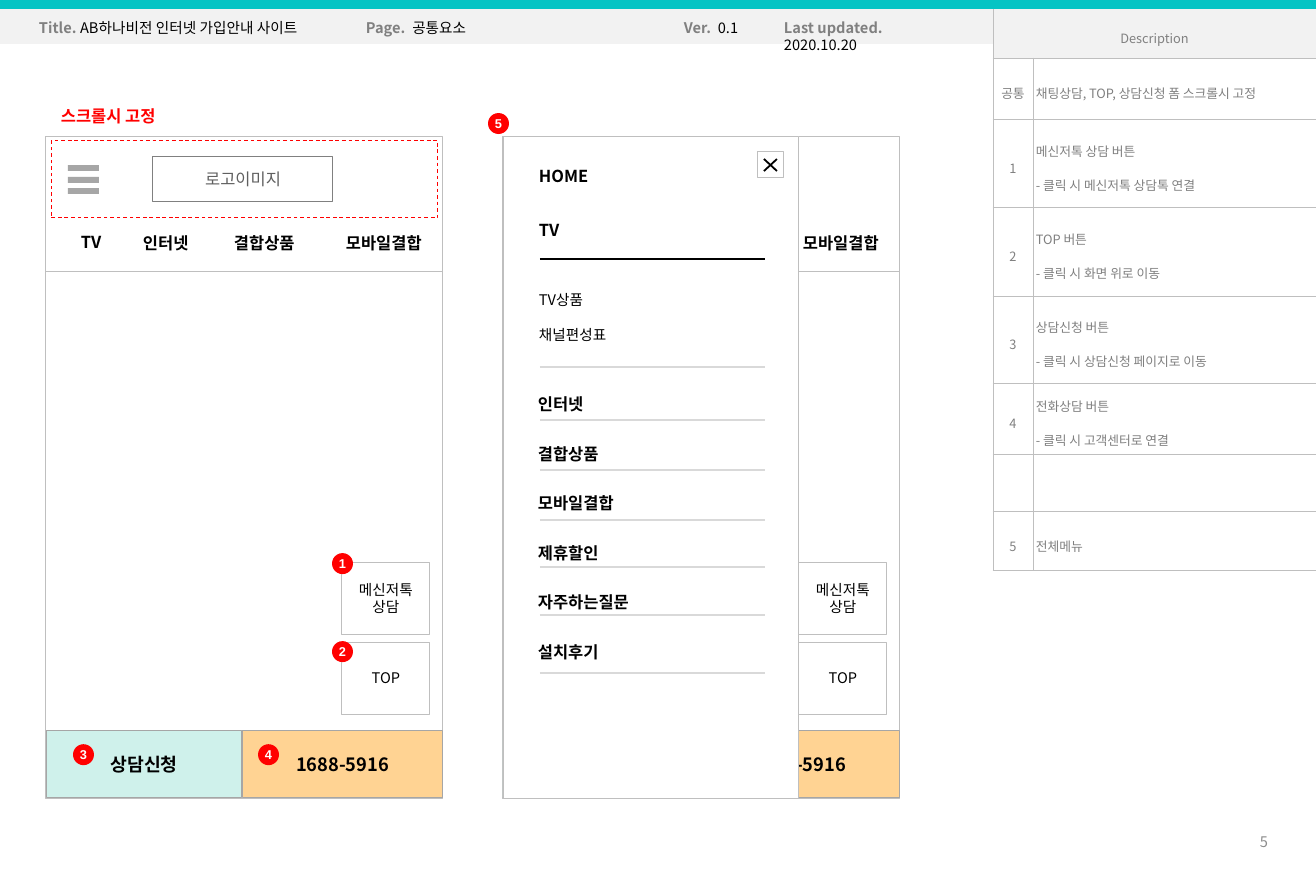
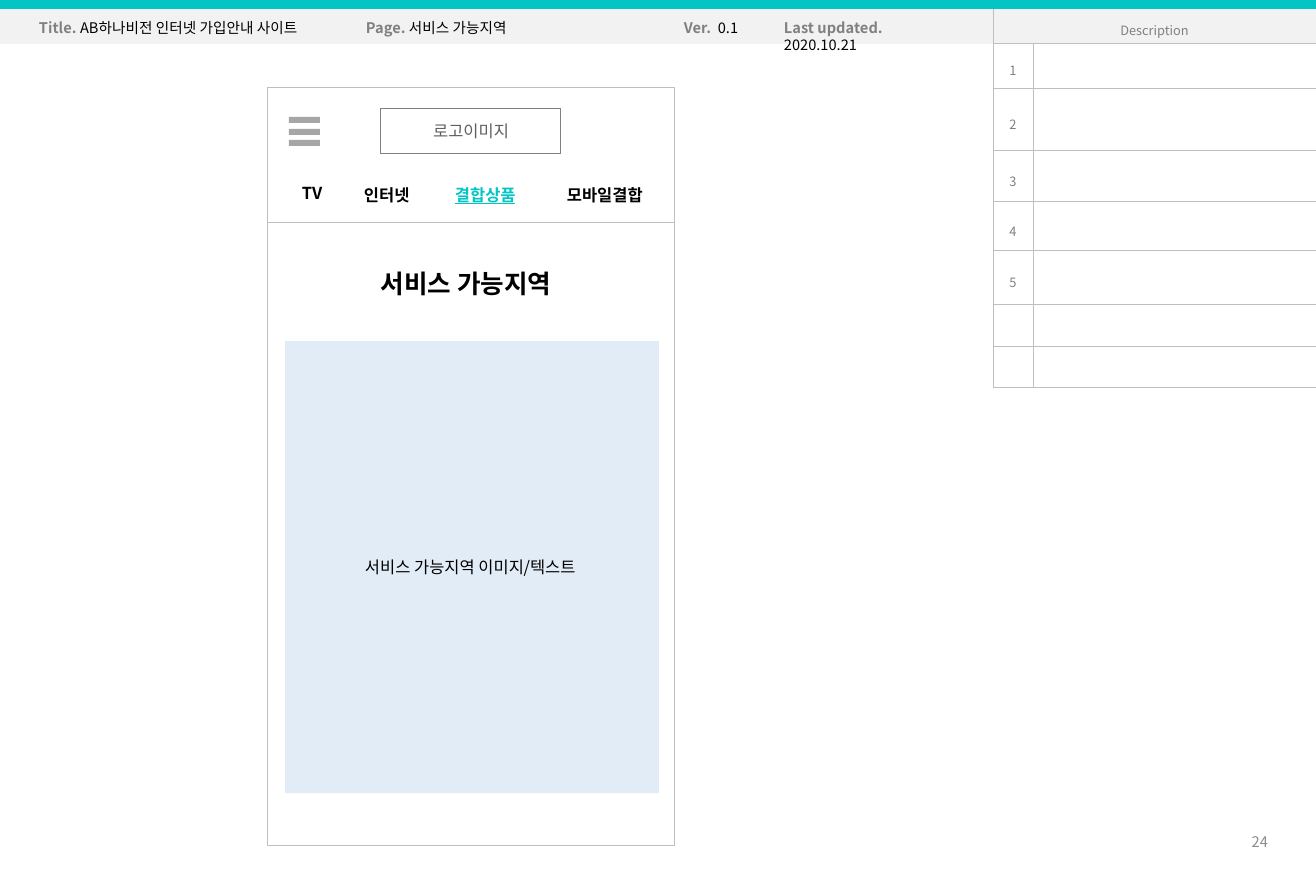
from lxml import etree
from pptx import Presentation
from pptx.dml.color import RGBColor
from pptx.enum.dml import MSO_LINE
from pptx.enum.shapes import MSO_CONNECTOR, MSO_SHAPE
from pptx.enum.text import MSO_ANCHOR, MSO_AUTO_SIZE, PP_ALIGN
from pptx.oxml.ns import qn
from pptx.util import Cm, Pt

EMU_PER_PX = 914400 / 131.6
FONT = "Noto Sans CJK KR"
color = RGBColor.from_string
BLACK, WHITE, RED, TEAL = "000000", "FFFFFF", "FF0000", "05C4C4"
GRAY, BORDER, BAND, BUTTON_EDGE = "808080", "BFBFBF", "F2F2F2", "A6A6A6"
RECT, OVAL, TEXT = MSO_SHAPE.RECTANGLE, MSO_SHAPE.OVAL, None
TABS = [("TV", 0, 89, 47), ("인터넷", 62, 90, 76),
        ("결합상품", 153, 90, 93), ("모바일결합", 265, 90, 109)]


def write(frame, lines, size=8, ink=BLACK, bold=False, align=PP_ALIGN.LEFT,
          spacing=None, before=None, font=FONT):
    for index, line in enumerate(lines):
        paragraph = frame.paragraphs[0] if index == 0 else frame.add_paragraph()
        paragraph.alignment = align
        paragraph.line_spacing = spacing
        paragraph.space_before = before
        # A line is one string, or a list of (text, ink, bold) runs
        runs = [(line, ink, bold)] if isinstance(line, str) else line
        for text, run_ink, run_bold in runs:
            run = paragraph.add_run()
            run.text = text
            run.font.size = Pt(size)
            run.font.bold = run_bold
            run.font.color.rgb = color(run_ink)
            run.font.name = font
            etree.SubElement(run._r.get_or_add_rPr(), qn("a:ea"), typeface=font)


def add_box(slide, kind, bounds, lines=(), fill=None, line=None, **style):
    bounds = [round(px * EMU_PER_PX) for px in bounds]
    if kind is TEXT:
        shape = slide.shapes.add_textbox(*bounds)
        shape.text_frame.word_wrap = False
        shape.text_frame.auto_size = MSO_AUTO_SIZE.SHAPE_TO_FIT_TEXT
    else:
        shape = slide.shapes.add_shape(kind, *bounds)
        shape.shadow.inherit = False
        shape.fill.background()
        shape.line.fill.background()
        if fill:
            shape.fill.solid()
            shape.fill.fore_color.rgb = color(fill)
        if line:
            shape.line.color.rgb = color(line)
            shape.line.width = Pt(0.5)
        frame = shape.text_frame
        frame.vertical_anchor = MSO_ANCHOR.MIDDLE
        frame.margin_left = frame.margin_right = 0
        frame.margin_top = frame.margin_bottom = 0
        style.setdefault("align", PP_ALIGN.CENTER)
    write(shape.text_frame, lines, **style)
    return shape


pages = [
    dict(number="5", label="Page.  ", title="공통요소", title_width=134,
         date="2020.10.20", active=None,
         phones=[(46, 0), (503, 3)], phone=(136, 397, 662), logo_left=153,
         row_heights=[50, 61, 88, 89, 87, 57, 57, 59],
         rows=[("공통", ["채팅상담, TOP, 상담신청 폼 스크롤시 고정"]),
               ("1", ["메신저톡 상담 버튼", "- 클릭 시 메신저톡 상담톡 연결"]),
               ("2", ["TOP 버튼", "- 클릭 시 화면 위로 이동"]),
               ("3", ["상담신청 버튼", "- 클릭 시 상담신청 페이지로 이동"]),
               ("4", ["전화상담 버튼", "- 클릭 시 고객센터로 연결"]),
               ("", []), ("5", ["전체메뉴"])]),
    dict(number="24", label="Page. ", title="서비스 가능지역", title_width=179,
         date="2020.10.21", active="결합상품",
         phones=[(267, 0)], phone=(88, 408, 757), logo_left=381,
         row_heights=[35, 45, 62, 52, 49, 54, 42, 41],
         rows=[(mark, []) for mark in ("1", "2", "3", "4", "5", "", "")]),
]

presentation = Presentation()
presentation.slide_width = Cm(25.4)
presentation.slide_height = Cm(17)

# Parts that both slides share
for page in pages:
    slide = presentation.slides.add_slide(presentation.slide_layouts[6])
    number = add_box(slide, TEXT, (1227, 817, 54, 49), [page["number"]],
                     ink="8C8C8C", align=PP_ALIGN.RIGHT)
    number.text_frame.auto_size = MSO_AUTO_SIZE.NONE
    number.text_frame.word_wrap = True
    number.text_frame.vertical_anchor = MSO_ANCHOR.MIDDLE

    # Description table
    heights = page["row_heights"]
    bounds = [round(px * EMU_PER_PX) for px in (993, 8, 323, sum(heights))]
    table = slide.shapes.add_table(len(heights), 2, *bounds).table
    for column, width in zip(table.columns, (40, 283)):
        column.width = round(width * EMU_PER_PX)
    for row, height in zip(table.rows, heights):
        row.height = round(height * EMU_PER_PX)
    table.cell(0, 0).merge(table.cell(0, 1))
    for row_index, (mark, notes) in enumerate([("Description", [])] + page["rows"]):
        for column_index, lines in enumerate(([mark] if mark else [], notes)):
            cell = table.cell(row_index, column_index)
            cell.vertical_anchor = MSO_ANCHOR.MIDDLE
            side, end = [round(px * EMU_PER_PX) for px in ((3, 5) if column_index else (0, 0))]
            cell.margin_left = cell.margin_right = side
            cell.margin_top = cell.margin_bottom = end
            for edge in ("a:lnL", "a:lnR", "a:lnT", "a:lnB"):
                border = etree.SubElement(cell._tc.get_or_add_tcPr(), qn(edge), w="6350")
                solid = etree.SubElement(border, qn("a:solidFill"))
                etree.SubElement(solid, qn("a:srgbClr"), val=BORDER)
            cell.fill.solid()
            cell.fill.fore_color.rgb = color(WHITE if row_index else BAND)
            write(cell.text_frame, lines, size=7, ink=GRAY, spacing=1.5,
                  align=PP_ALIGN.LEFT if column_index else PP_ALIGN.CENTER,
                  before=Pt(3.5) if column_index and mark != "공통" else None)
            if not lines:
                etree.SubElement(cell.text_frame.paragraphs[0]._p,
                                 qn("a:endParaRPr"), sz="700")

    # Header band
    add_box(slide, RECT, (0, 3, 993, 41), fill=BAND)
    add_box(slide, RECT, (0, 0, 1316, 9), fill=TEAL)
    for left, width, label, value in [
            (26, 307, "Title. ", "AB하나비전 인터넷 가입안내 사이트"),
            (671, 84, "Ver.  ", "0.1"),
            (771, 200, "Last updated.  ", page["date"]),
            (353, page["title_width"], page["label"], page["title"])]:
        heading = add_box(slide, TEXT, (left, 12, width, 32),
                          [[(label, GRAY, True), (value, BLACK, False)]])
        heading.text_frame.word_wrap = label.startswith("Last")

    # Phone frames with the tab bar
    top, width, height = page["phone"]
    for left, first_tab in page["phones"]:
        add_box(slide, RECT, (left, top, width, height), fill=WHITE, line=BORDER)
        add_box(slide, RECT, (left, top, width, 135), fill=WHITE, line=BORDER)
        for tab, tab_left, tab_top, tab_width in TABS[first_tab:]:
            active = tab == page["active"]
            label = add_box(slide, TEXT, (left + 22 + tab_left, top + tab_top, tab_width, 33),
                            [tab], size=9, bold=True, ink=TEAL if active else BLACK)
            if active:
                label.text_frame.paragraphs[0].runs[0].font.underline = True
        if first_tab == 0:
            add_box(slide, RECT, (page["logo_left"], top + 20, 180, 45), ["로고이미지"],
                    fill=WHITE, line=GRAY, size=9, ink="5F5F5F", font="Karla")
            for bar_top in (29, 41, 52):
                add_box(slide, RECT, (left + 22, top + bar_top, 31, 6), fill=BUTTON_EDGE)

common_slide, region_slide = presentation.slides

# Common elements: buttons on both phones
for shift, request in ((0, ["상담신청"]), (457, [])):
    add_box(common_slide, RECT, (46 + shift, 730, 196, 67), request,
            fill="CFF1EB", line=BUTTON_EDGE, size=10, bold=True)
    add_box(common_slide, RECT, (242 + shift, 730, 201, 67), ["1688-5916"],
            fill="FFD393", line=BUTTON_EDGE, size=10, bold=True)
    for button_top, lines in ((562, ["메신저톡", "상담"]), (642, ["TOP"])):
        add_box(common_slide, RECT, (342 + shift, button_top, 88, 72), lines,
                fill=WHITE, line=BORDER)

# Common elements: fixed area
add_box(common_slide, TEXT, (48, 100, 132, 33), ["스크롤시 고정"],
        size=9, ink=RED, bold=True)
fixed_area = add_box(common_slide, RECT, (51, 141, 387, 77), line=RED)
fixed_area.line.dash_style = MSO_LINE.DASH

# Common elements: full menu
add_box(common_slide, RECT, (504, 136, 295, 662), fill=WHITE, line=BORDER)
add_box(common_slide, RECT, (757, 151, 27, 27), fill=WHITE, line=BORDER)
add_box(common_slide, TEXT, (526, 160, 78, 33), ["HOME"], size=9, bold=True)
add_box(common_slide, TEXT, (526, 214, 47, 33), ["TV"], size=9, bold=True)
add_box(common_slide, TEXT, (526, 267, 100, 84), ["TV상품", "채널편성표"], spacing=2.0)
add_box(common_slide, TEXT, (525, 358, 126, 312),
        ["인터넷", "결합상품", "모바일결합", "제휴할인", "자주하는질문", "설치후기"],
        size=9, bold=True, spacing=2.5)

# Close mark and menu rules
strokes = [(764, 159, 777, 171, BLACK, 1), (777, 159, 764, 171, BLACK, 1),
           (540, 259, 765, 259, BLACK, 0.75)]
strokes += [(540, y, 765, y, "D9D9D9", 0.75) for y in (367, 420, 470, 520, 567, 615, 673)]
for *ends, ink, weight in strokes:
    connector = common_slide.shapes.add_connector(
        MSO_CONNECTOR.STRAIGHT, *[round(px * EMU_PER_PX) for px in ends])
    connector.line.color.rgb = color(ink)
    connector.line.width = Pt(weight)
    etree.SubElement(connector._element.spPr, qn("a:effectLst"))

# Numbered badges
badges = [(332, 553), (332, 641), (73, 744), (258, 744), (488, 113)]
for badge, (left, top) in enumerate(badges, start=1):
    add_box(common_slide, OVAL, (left, top, 21, 21), [str(badge)],
            fill=RED, size=7, ink=WHITE, bold=True, font="Arial")

# Service area
add_box(region_slide, TEXT, (358, 261, 216, 45), ["서비스 가능지역"],
        size=14, bold=True, align=PP_ALIGN.CENTER)
region = add_box(region_slide, RECT, (285, 341, 374, 452),
                 ["서비스 가능지역 이미지/텍스트 "], fill="8EB4E3", size=9)
region_color = region._element.spPr.find(qn("a:solidFill")).find(qn("a:srgbClr"))
etree.SubElement(region_color, qn("a:alpha"), val="25000")

presentation.save("out.pptx")
